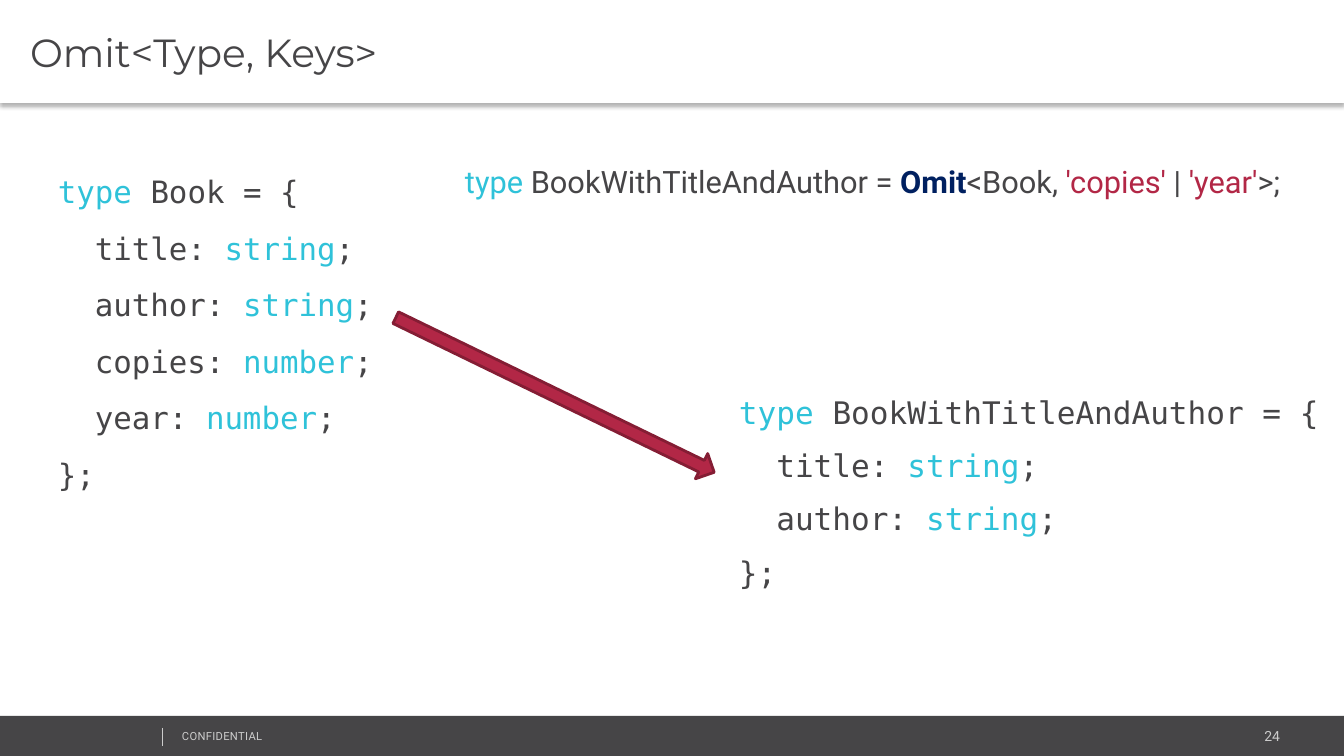
from lxml import etree
from pptx import Presentation
from pptx.dml.color import RGBColor
from pptx.enum.shapes import MSO_CONNECTOR, MSO_SHAPE
from pptx.enum.text import MSO_ANCHOR, PP_ALIGN
from pptx.oxml.ns import qn
from pptx.util import Pt

RECTANGLE, RIGHT_ARROW = MSO_SHAPE.RECTANGLE, MSO_SHAPE.RIGHT_ARROW
STRAIGHT = MSO_CONNECTOR.STRAIGHT
MIDDLE, TOP = MSO_ANCHOR.MIDDLE, MSO_ANCHOR.TOP
LEFT, RIGHT = PP_ALIGN.LEFT, PP_ALIGN.RIGHT
DARK, CYAN, RED, NAVY, PALE = "464547", "2FC2D9", "B22746", "002060", "CCCCCC"
MONO, SANS = "DejaVu Sans Mono", "Roboto"
EMU_PER_PX = 914400 / 100.8


def px(*lengths):
    return [round(length * EMU_PER_PX) for length in lengths]


def paint(color_format, color):
    color_format.rgb = RGBColor.from_string(color)


deck = Presentation()
deck.slide_width, deck.slide_height = px(1344, 756)
page = deck.slides.add_slide(deck.slide_layouts[1])
title, book = page.placeholders

title.left, title.top, title.width, title.height = px(0, 0, 1344, 103)
title.fill.solid()
paint(title.fill.fore_color, "FFFFFF")
effects = etree.SubElement(title.element.spPr, qn("a:effectLst"))
shadow = etree.SubElement(effects, qn("a:outerShdw"), blurRad="39370",
                          dist="25400", dir="5400000", algn="t", rotWithShape="0")
shade = etree.SubElement(shadow, qn("a:srgbClr"), val="000000")
etree.SubElement(shade, qn("a:alpha"), val="30000")

footer = page.shapes.add_shape(RECTANGLE, *px(0, 716, 1344, 40))
footer.shadow.inherit = False
footer.fill.solid()
paint(footer.fill.fore_color, DARK)
footer.line.fill.background()

divider = page.shapes.add_connector(STRAIGHT, *px(162, 728, 162, 746))
paint(divider.line.color, PALE)
divider.line.width = Pt(0.25)
etree.SubElement(divider.element.spPr, qn("a:effectLst"))

book.left, book.top, book.width, book.height = px(51, 158, 1226, 420)
result = page.shapes.add_textbox(*px(732, 382, 635, 215))
arrow = page.shapes.add_shape(RIGHT_ARROW, *px(378, 381, 354, 28))
arrow.shadow.inherit = False
arrow.rotation = 25.9
arrow.adjustments[0] = 0.457
arrow.fill.solid()
paint(arrow.fill.fore_color, RED)
paint(arrow.line.color, "841D34")
arrow.line.width = Pt(2)
omit = page.shapes.add_textbox(*px(455, 158, 912, 47))
number = page.shapes.add_textbox(*px(1070, 723, 220, 27))
notice = page.shapes.add_textbox(*px(172, 724, 341, 24))

fields = [("title", "string"), ("author", "string"),
          ("copies", "number"), ("year", "number")]
members = [[(f"  {name}: ", DARK), (kind, CYAN), (";", DARK)] for name, kind in fields]
closing = [("};", DARK)]
book_code = [[("type", CYAN), (" Book = {", DARK)], *members, closing]
result_code = [[("type ", CYAN), ("BookWithTitleAndAuthor = {", DARK)],
               *members[:2], closing]
omit_code = [[("type ", CYAN), ("BookWithTitleAndAuthor = ", DARK), ("Omit", NAVY),
              ("<Book, ", DARK), ("'copies'", RED), (" | ", DARK),
              ("'year'", RED), (">;", DARK)]]

texts = [
    (title, [[("Omit<Type, Keys>", DARK)]], "Montserrat", 28, 1, 0, (30, 4, 7, 4)),
    (book, book_code, MONO, 22, 1.3, 6, (7, 4, 7, 4)),
    (result, result_code, MONO, 22.2, 1.2, 6, (7, 4, 7, 4)),
    (omit, omit_code, SANS, 22, 1, 0, (10, 5, 10, 5)),
    (number, [[("24", PALE)]], SANS, 10, 1, 0, (10, 5, 10, 5)),
    (notice, [[("CONFIDENTIAL", PALE)]], SANS, 8, 1, 0, (10, 5, 10, 5)),
]
for box, lines, font, size, spacing, after, insets in texts:
    frame = box.text_frame
    frame.word_wrap = True
    frame.vertical_anchor = MIDDLE if box is title else TOP
    (frame.margin_left, frame.margin_top,
     frame.margin_right, frame.margin_bottom) = px(*insets)
    frame.text = "\n".join("" for line in lines)
    for para, line in zip(frame.paragraphs, lines):
        para.alignment = RIGHT if box is number else LEFT
        para.line_spacing = spacing
        para.space_before, para.space_after = Pt(0), Pt(after)
        for words, color in line:
            span = para.add_run()
            span.text = words
            span.font.name, span.font.size = font, Pt(size)
            span.font.bold = color == NAVY
            paint(span.font.color, color)

for para in book.text_frame.paragraphs:
    properties = para._p.get_or_add_pPr()
    properties.set("marL", "0")
    properties.set("indent", "0")
    etree.SubElement(properties, qn("a:buNone"))
notice.text_frame.paragraphs[0].runs[0].font._element.set("spc", "20")

deck.save("out.pptx")
